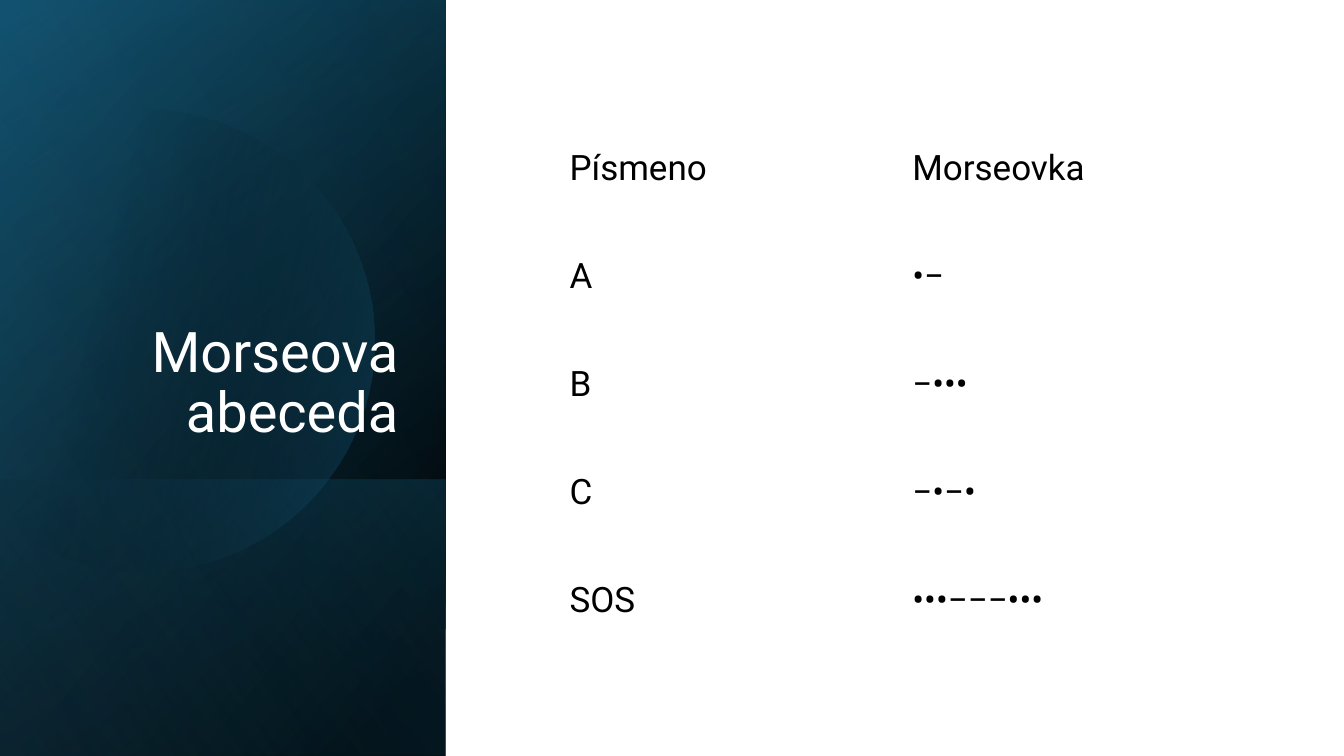
from dataclasses import dataclass
from math import acos, cos, pi, sin

from lxml import etree
from pptx import Presentation
from pptx.dml.color import RGBColor
from pptx.enum.shapes import MSO_SHAPE
from pptx.enum.text import MSO_ANCHOR, PP_ALIGN
from pptx.oxml.ns import qn
from pptx.util import Inches, Pt

RECTANGLE = MSO_SHAPE.RECTANGLE
BOTTOM, MIDDLE = MSO_ANCHOR.BOTTOM, MSO_ANCHOR.MIDDLE
RIGHT = PP_ALIGN.RIGHT

COLORS = {
    "black": "000000",
    "white": "FFFFFF",
    "deep": "104862",
    "teal": "156082",
    "sky": "46B1E1",
}
FONT = "Roboto"
SLIDE_WIDTH, SLIDE_HEIGHT = 13.33, 7.5
PANEL_WIDTH = 4.42
FOOT_HEIGHT = 2.74

MORSE_ROWS = [
    ("Písmeno", "Morseovka"),
    ("A", "•−"),
    ("B", "−•••"),
    ("C", "−•−•"),
    ("SOS", "•••−−−•••"),
]
COLUMN_WIDTHS = (3.4, 3.9)
ROW_HEIGHT = 1.07
CELL_MARGIN = 0.29


@dataclass
class Stop:
    position: int
    color: str
    opacity: int = 100


@dataclass
class Layer:
    """A gradient band across the side panel, reaching to the slide's foot."""
    height: float
    angle: float
    stops: tuple[Stop, Stop]


PANEL_LAYERS = [
    Layer(SLIDE_HEIGHT, 50, (Stop(8, "black"), Stop(100, "deep"))),
    Layer(SLIDE_HEIGHT, 30, (Stop(0, "black", 0), Stop(99, "teal", 46))),
    Layer(FOOT_HEIGHT, 130, (Stop(2, "teal", 29), Stop(100, "black", 30))),
]
SHEEN = Layer(SLIDE_HEIGHT, 120, (Stop(0, "black", 0), Stop(99, "sky", 11)))
DISC_STOPS = (Stop(29, "black", 0), Stop(100, "teal", 43))


def fill_gradient(shape, stops: tuple[Stop, ...], angle: float) -> None:
    """Fill with see-through stops; the angle runs clockwise."""
    shape.shadow.inherit = False
    shape.line.fill.background()
    shape.fill.gradient()
    gradient = shape._element.spPr.find(qn("a:gradFill"))
    stop_list = gradient.find(qn("a:gsLst"))
    for default_stop in list(stop_list):
        stop_list.remove(default_stop)
    for stop in stops:
        entry = etree.SubElement(stop_list, qn("a:gs"), pos=str(stop.position * 1000))
        color = etree.SubElement(entry, qn("a:srgbClr"), val=COLORS[stop.color])
        if stop.opacity < 100:
            etree.SubElement(color, qn("a:alpha"), val=str(stop.opacity * 1000))
    gradient.find(qn("a:lin")).set("ang", str(round(angle * 60000)))


def add_layer(slide, layer: Layer) -> None:
    """Add the band as a mirrored rectangle turned by a quarter."""
    left = (PANEL_WIDTH - layer.height) / 2
    top = SLIDE_HEIGHT - (layer.height + PANEL_WIDTH) / 2
    band = slide.shapes.add_shape(
        RECTANGLE, Inches(left), Inches(top), Inches(layer.height), Inches(PANEL_WIDTH))
    band.rotation = 90
    band._element.spPr.find(qn("a:xfrm")).set("flipH", "1")
    fill_gradient(band, layer.stops, layer.angle)


def add_disc(slide) -> None:
    """Add the disc that the slide's left edge cuts off."""
    center_x, center_y, radius, steps = 1.42, 3.38, 2.29, 120
    reach = pi - acos(center_x / radius)
    angles = [reach * (2 * step / steps - 1) for step in range(steps + 1)]
    points = [(Inches(center_x + radius * cos(a)), Inches(center_y + radius * sin(a)))
              for a in angles]
    builder = slide.shapes.build_freeform(*points[0])
    builder.add_line_segments(points[1:], close=True)
    fill_gradient(builder.convert_to_shape(), DISC_STOPS, 13.9)


def style_text(paragraph, size: float, color: str) -> None:
    for run in paragraph.runs:
        run.font.name = FONT
        run.font.size = Pt(size)
        run.font.bold = False
        run.font.color.rgb = RGBColor.from_string(COLORS[color])


def add_title(slide) -> None:
    title = slide.shapes.add_textbox(
        Inches(0.64), Inches(1.84), Inches(3.41), Inches(2.62)).text_frame
    title.word_wrap = True
    title.vertical_anchor = BOTTOM
    title.text = "Morseova abeceda"
    paragraph = title.paragraphs[0]
    paragraph.alignment = RIGHT
    paragraph.line_spacing = 0.9
    style_text(paragraph, 40, "white")


def add_morse_table(slide) -> None:
    table = slide.shapes.add_table(
        len(MORSE_ROWS), len(COLUMN_WIDTHS), Inches(5.36), Inches(1.14),
        Inches(sum(COLUMN_WIDTHS)), Inches(ROW_HEIGHT * len(MORSE_ROWS))).table
    table.first_row = table.horz_banding = False
    for column, width in zip(table.columns, COLUMN_WIDTHS):
        column.width = Inches(width)
    for row, texts in zip(table.rows, MORSE_ROWS):
        row.height = Inches(ROW_HEIGHT)
        for cell, text in zip(row.cells, texts):
            cell.fill.background()
            cell.vertical_anchor = MIDDLE
            cell.margin_left = cell.margin_right = Inches(CELL_MARGIN)
            cell.margin_top = cell.margin_bottom = Inches(CELL_MARGIN)
            cell.text_frame.text = text
            style_text(cell.text_frame.paragraphs[0], 25, "black")


def main() -> None:
    presentation = Presentation()
    presentation.slide_width = Inches(SLIDE_WIDTH)
    presentation.slide_height = Inches(SLIDE_HEIGHT)
    slide = presentation.slides.add_slide(presentation.slide_layouts[6])
    for layer in PANEL_LAYERS:
        add_layer(slide, layer)
    add_disc(slide)
    add_layer(slide, SHEEN)
    add_title(slide)
    add_morse_table(slide)
    presentation.save("out.pptx")


if __name__ == "__main__":
    main()
